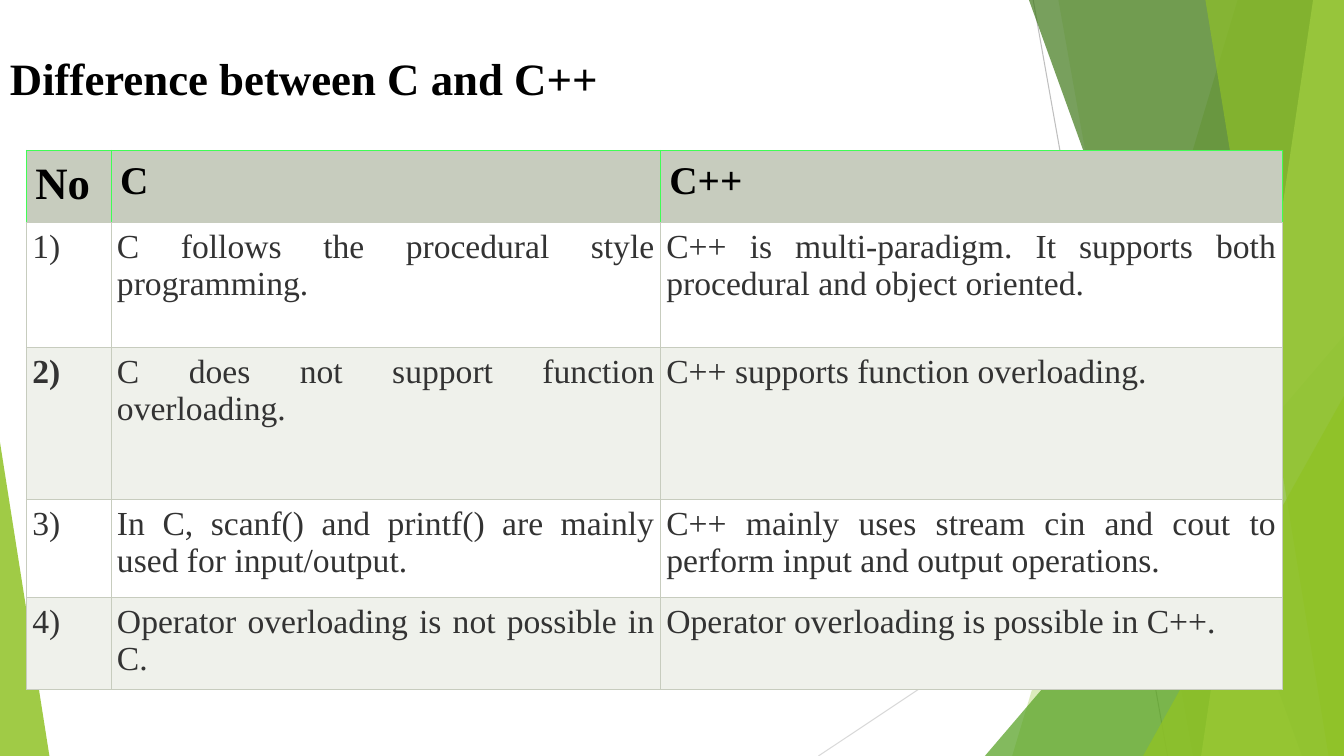
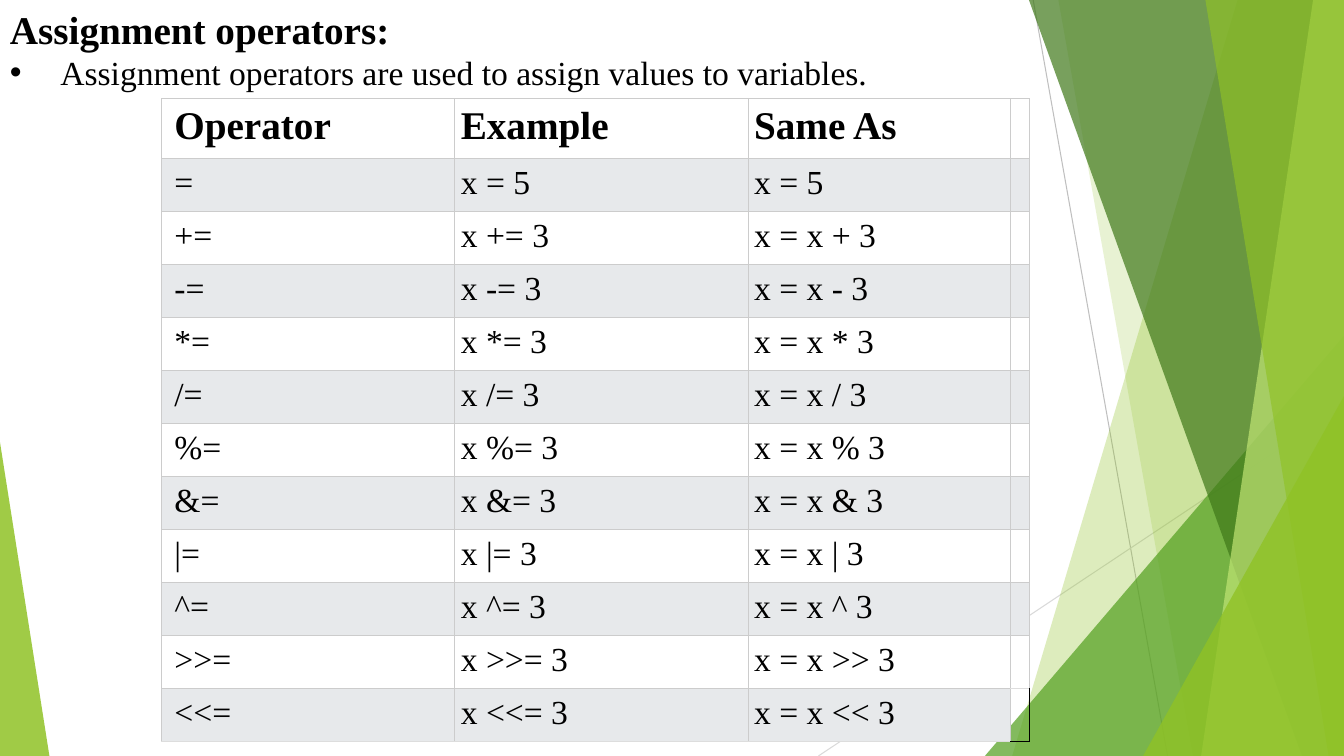
from lxml import etree
from pptx import Presentation
from pptx.dml.color import RGBColor
from pptx.enum.shapes import MSO_CONNECTOR, MSO_SHAPE
from pptx.enum.text import MSO_ANCHOR, PP_ALIGN
from pptx.oxml.ns import qn
from pptx.util import Pt

STRAIGHT = MSO_CONNECTOR.STRAIGHT
TRIANGLE = MSO_SHAPE.ISOSCELES_TRIANGLE
BOTTOM = MSO_ANCHOR.BOTTOM
JUSTIFY = PP_ALIGN.JUSTIFY

FONT = "Times New Roman"
BLACK, WHITE, BODY_GREY = "000000", "FFFFFF", "333333"
SAGE, PALE_SAGE, BRIGHT_GREEN = "C7CCBE", "EFF1EB", "40FD55"
BAND_GREY, RULE_GREY, LIGHT_RULE = "E7E9EB", "CCCCCC", "DDDDDD"
LIME, LEAF, FOREST, PALE_LIME = "90C226", "54A021", "3F7819", "C0E474"
WIDTH, HEIGHT = 960, 540


def add_run(paragraph, text, size, color=BLACK, bold=False):
    run = paragraph.add_run()
    run.text = text
    run.font.name = FONT
    run.font.size = Pt(size)
    run.font.bold = bold
    run.font.color.rgb = RGBColor.from_string(color)


def style_cell(cell, fill, borders, insets):
    cell.margin_left, cell.margin_top, cell.margin_right, cell.margin_bottom = map(Pt, insets)
    properties = cell._tc.get_or_add_tcPr()
    for side, (color, width) in zip(("lnL", "lnR", "lnT", "lnB"), borders):
        line = etree.SubElement(properties, qn("a:" + side), w=str(Pt(width)))
        solid = etree.SubElement(line, qn("a:solidFill"))
        etree.SubElement(solid, qn("a:srgbClr"), val=color)
    if fill:
        cell.fill.solid()
        cell.fill.fore_color.rgb = RGBColor.from_string(fill)
    else:
        cell.fill.background()


presentation = Presentation()
presentation.slide_width = Pt(WIDTH)
presentation.slide_height = Pt(HEIGHT)
layout = presentation.slide_layouts[6]
for placeholder in list(layout.placeholders):
    layout.shapes.element.remove(placeholder.element)

slide = presentation.slides.add_slide(layout)

for start_x, start_y, end_x, color in [(738, 0, 834, "BFBFBF"), (WIDTH, 290, 584.6, "D9D9D9")]:
    connector = slide.shapes.add_connector(STRAIGHT, Pt(start_x), Pt(start_y), Pt(end_x), Pt(HEIGHT))
    connector.line.color.rgb = RGBColor.from_string(color)
    connector.line.width = Pt(0.75)
    etree.SubElement(connector.element.spPr, qn("a:effectLst"))

facets = [
    ("band", (884, 723), LIME, 30),
    ("band", (756, 852), LIME, 20),
    ("triangle", (703.5, 239.8, WIDTH, 1), LEAF, 72),
    ("band", (735, 930), FOREST, 70),
    ("band", (938, 858), PALE_LIME, 70),
    ("band", (861, 949), LIME, 65),
    ("triangle", (816.5, 283, WIDTH, 1), LIME, 80),
    ("triangle", (0, 316, 35.3, 0), LIME, 85),
]
for kind, geometry, color, opacity in facets:
    if kind == "band":
        top_x, bottom_x = geometry
        builder = slide.shapes.build_freeform(Pt(top_x), 0)
        corners = [(WIDTH, 0), (WIDTH, HEIGHT), (bottom_x, HEIGHT)]
        builder.add_line_segments([(Pt(x), Pt(y)) for x, y in corners])
        shape = builder.convert_to_shape()
    else:
        left, top, right, apex = geometry
        shape = slide.shapes.add_shape(TRIANGLE, Pt(left), Pt(top), Pt(right - left), Pt(HEIGHT - top))
        shape.adjustments[0] = apex
    shape.shadow.inherit = False
    shape.line.fill.background()
    shape.fill.solid()
    shape.fill.fore_color.rgb = RGBColor.from_string(color)
    fill_color = shape.element.spPr.find(qn("a:solidFill"))[0]
    etree.SubElement(fill_color, qn("a:alpha"), val=str(opacity * 1000))

for shape in list(slide.shapes):
    layout.shapes.element.append(shape.element)

title = slide.shapes.add_textbox(0, 0, Pt(WIDTH), Pt(85)).text_frame
title.word_wrap = True
title.vertical_anchor = BOTTOM
title.margin_bottom = Pt(10.6)
add_run(title.paragraphs[0], "Difference between C and C++", 32, bold=True)

differences = [
    ("No", "C", "C++"),
    ("1)", "C follows the procedural style programming.",
     "C++ is multi-paradigm. It supports both procedural and object oriented."),
    ("2)", "C does not support function overloading.", "C++ supports function overloading."),
    ("3)", "In C, scanf() and printf() are mainly used for input/output.",
     "C++ mainly uses stream cin and cout to perform input and output operations."),
    ("4)", "Operator overloading is not possible in C.", "Operator overloading is possible in C++."),
]
column_widths = [60.5, 392.4, 444.2]
row_heights = [50.7, 89.3, 108.6, 70, 65.9]
table = slide.shapes.add_table(5, 3, Pt(18.8), Pt(107.3), Pt(sum(column_widths)), Pt(sum(row_heights))).table
table.first_row = table.horz_banding = False
for column, width in zip(table.columns, column_widths):
    column.width = Pt(width)
for row_index, (texts, height) in enumerate(zip(differences, row_heights)):
    table.rows[row_index].height = Pt(height)
    for column_index, text in enumerate(texts):
        cell = table.cell(row_index, column_index)
        paragraph = cell.text_frame.paragraphs[0]
        if row_index == 0:
            borders = [(BRIGHT_GREEN, 0.75)] * 3 + [(SAGE, 0.75)]
            style_cell(cell, SAGE, borders, [6.5] * 4)
            add_run(paragraph, text, 32 if column_index == 0 else 28, bold=True)
        else:
            style_cell(cell, WHITE if row_index % 2 else PALE_SAGE, [(SAGE, 0.75)] * 4, [4.3] * 4)
            paragraph.alignment = JUSTIFY
            add_run(paragraph, text, 24, BODY_GREY, text == "2)")

slide = presentation.slides.add_slide(layout)
intro = slide.shapes.add_textbox(0, 0, Pt(WIDTH), Pt(448.6)).text_frame
intro.word_wrap = True
add_run(intro.paragraphs[0], "Assignment operators:", 28, bold=True)
paragraph = intro.add_paragraph()
properties = paragraph._p.get_or_add_pPr()
properties.set("marL", str(Pt(36)))
properties.set("indent", str(Pt(-36)))
etree.SubElement(properties, qn("a:buFont"), typeface="Arial")
etree.SubElement(properties, qn("a:buChar"), char="•")
add_run(paragraph, "Assignment operators are used to assign values to variables.", 24)

operator_rows = [("Operator", "Example", "Same As", ""), ("=", "x = 5", "x = 5", "")]
for operator in ["+=", "-=", "*=", "/=", "%=", "&=", "|=", "^=", ">>=", "<<="]:
    operator_rows.append((operator, f"x {operator} 3", f"x = x {operator[:-1]} 3", ""))
last_row = len(operator_rows) - 1
column_widths = [209.5, 209.5, 187.5, 13.5]
row_heights = [42.8] + [37.86] * last_row
table = slide.shapes.add_table(len(operator_rows), 4, Pt(115.4), Pt(70.4),
                               Pt(sum(column_widths)), Pt(sum(row_heights))).table
table.first_row = table.horz_banding = False
for column, width in zip(table.columns, column_widths):
    column.width = Pt(width)
for row_index, (texts, height) in enumerate(zip(operator_rows, row_heights)):
    table.rows[row_index].height = Pt(height)
    for column_index, text in enumerate(texts):
        cell = table.cell(row_index, column_index)
        fill = BAND_GREY if row_index % 2 else WHITE
        borders = [(RULE_GREY, 0.75)] * 4
        if row_index == last_row:
            borders[3] = (LIGHT_RULE, 0.75)
            if column_index == 3:
                fill = None
                borders = [(RULE_GREY, 0.75), (BLACK, 1), (LIGHT_RULE, 0.75), (BLACK, 1)]
        elif row_index == last_row - 1 and column_index == 3:
            borders[3] = (LIGHT_RULE, 0.75)
        style_cell(cell, fill, borders, [9.2 if column_index == 0 else 4.3, 4.3, 4.3, 4.3])
        if text:
            add_run(cell.text_frame.paragraphs[0], text, 24 if row_index else 28, bold=row_index == 0)

presentation.save("out.pptx")
